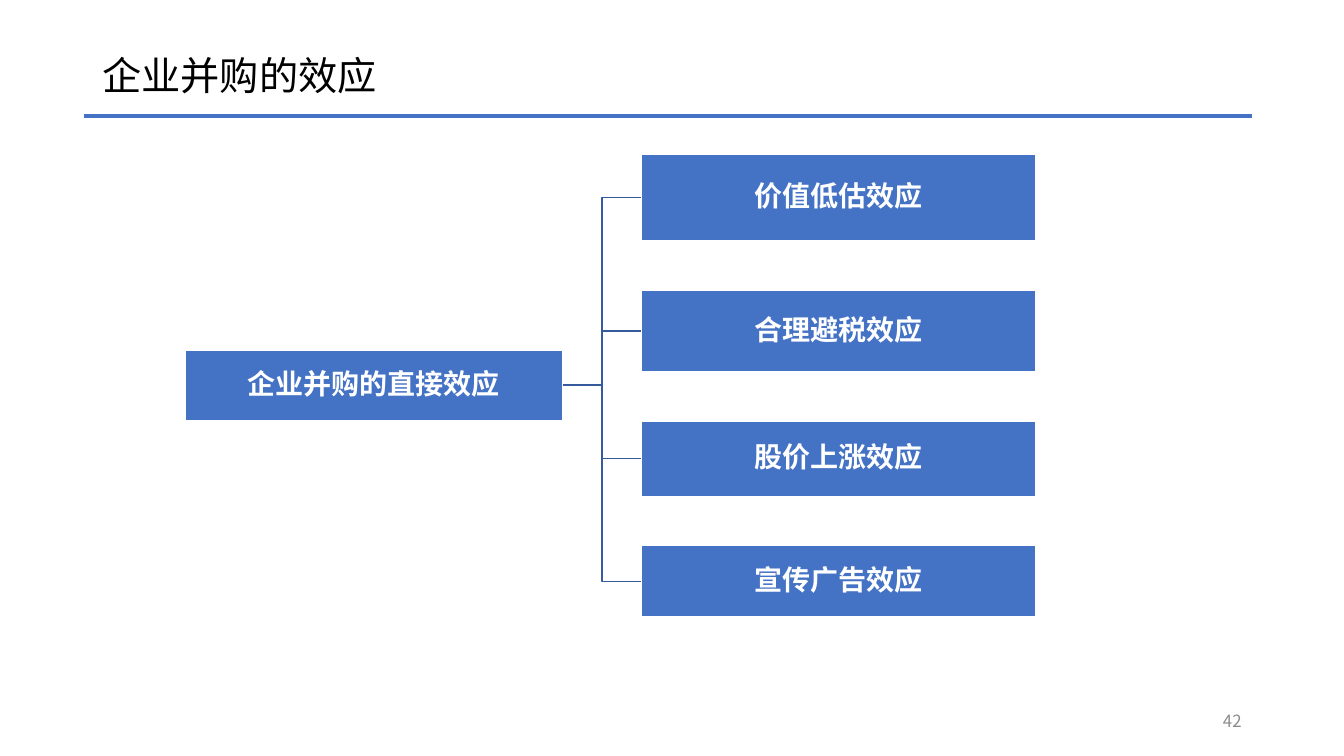
"""Slide showing the direct effects of mergers as a left-to-right tree."""
from dataclasses import dataclass

from lxml import etree
from pptx import Presentation
from pptx.dml.color import RGBColor
from pptx.enum.shapes import MSO_CONNECTOR, MSO_SHAPE
from pptx.enum.text import MSO_ANCHOR, MSO_AUTO_SIZE, PP_ALIGN
from pptx.oxml.ns import qn
from pptx.util import Inches, Pt

LEFT, CENTER, RIGHT = PP_ALIGN.LEFT, PP_ALIGN.CENTER, PP_ALIGN.RIGHT
MIDDLE = MSO_ANCHOR.MIDDLE
NO_AUTOFIT = MSO_AUTO_SIZE.NONE
RECTANGLE = MSO_SHAPE.RECTANGLE
STRAIGHT = MSO_CONNECTOR.STRAIGHT

SLIDE_WIDTH, SLIDE_HEIGHT = Inches(13.33), Inches(7.5)
COLUMNS, ROWS = 160, 90
FONT = "Noto Sans CJK SC"
BLUE, BRANCH_BLUE = "4472C4", "365B9D"
WHITE, BLACK, GRAY = "FFFFFF", "000000", "8C8C8C"

EFFECT_COLUMN, EFFECT_WIDTH = 76.35, 47
FIRST_EFFECT_ROW, EFFECT_GAP = 18.4, 5.85
EFFECTS = (
    ("价值低估效应", 10.3),
    ("合理避税效应", 9.7),
    ("股价上涨效应", 9),
    ("宣传广告效应", 8.5),
)


@dataclass(frozen=True)
class Area:
    """A rectangle measured in grid columns and rows."""

    column: float
    row: float
    width: float
    height: float

    @property
    def right(self) -> float:
        return self.column + self.width

    @property
    def middle(self) -> float:
        return self.row + self.height / 2

    def emu(self) -> tuple:
        return (across(self.column), down(self.row),
                across(self.width), down(self.height))


@dataclass(frozen=True)
class Node:
    """A labelled box of the tree."""

    label: str
    area: Area


def across(columns: float) -> int:
    """Convert grid columns to a length."""
    return round(SLIDE_WIDTH * columns / COLUMNS)


def down(rows: float) -> int:
    """Convert grid rows to a length."""
    return round(SLIDE_HEIGHT * rows / ROWS)


def color(hex_code: str) -> RGBColor:
    """Turn a hex string into a colour."""
    return RGBColor.from_string(hex_code)


def write(shape, text: str, size: int, hex_code: str, align,
          bold: bool = False, spacing: float = 1.0) -> None:
    """Fill a shape with one formatted paragraph."""
    frame = shape.text_frame
    frame.text = text
    frame.word_wrap = True
    frame.auto_size = NO_AUTOFIT
    frame.vertical_anchor = MIDDLE
    paragraph = frame.paragraphs[0]
    paragraph.alignment = align
    paragraph.line_spacing = spacing
    font = paragraph.runs[0].font
    font.size, font.bold, font.name = Pt(size), bold, FONT
    font.color.rgb = color(hex_code)
    latin = font._element.find(qn("a:latin"))
    east_asian = etree.Element(qn("a:ea"), typeface=FONT)
    latin.addnext(east_asian)


def draw_rule(slide, start: float, end: float, row: float) -> None:
    """Draw the line below the title."""
    rule = slide.shapes.add_connector(
        STRAIGHT, across(start), down(row), across(end), down(row))
    rule.line.color.rgb = color(BLUE)
    rule.line.width = Pt(3)
    etree.SubElement(rule._element.spPr, qn("a:effectLst"))


def draw_branch(slide, parent: Node, child: Node) -> None:
    """Draw the elbow from a parent to a child."""
    start, end = parent.area, child.area
    bend = across((start.right + end.column) / 2)
    builder = slide.shapes.build_freeform(across(start.right), down(start.middle))
    builder.add_line_segments(
        [(bend, down(start.middle)), (bend, down(end.middle)),
         (across(end.column), down(end.middle))], close=False)
    branch = builder.convert_to_shape()
    branch.shadow.inherit = False
    branch.fill.background()
    branch.line.color.rgb = color(BRANCH_BLUE)
    branch.line.width = Pt(1)


def draw_node(slide, node: Node) -> None:
    """Draw a box with its label."""
    box = slide.shapes.add_shape(RECTANGLE, *node.area.emu())
    box.shadow.inherit = False
    box.fill.solid()
    box.fill.fore_color.rgb = color(BLUE)
    box.line.color.rgb = color(WHITE)
    box.line.width = Pt(1)
    frame = box.text_frame
    frame.margin_left = frame.margin_right = Inches(0.01)
    frame.margin_top = frame.margin_bottom = Inches(0.01)
    write(box, node.label, 20, WHITE, CENTER, bold=True, spacing=0.9)


def effect_nodes() -> list[Node]:
    """Stack the effects with equal gaps."""
    nodes, row = [], FIRST_EFFECT_ROW
    for label, height in EFFECTS:
        nodes.append(Node(label, Area(EFFECT_COLUMN, row, EFFECT_WIDTH, height)))
        row += height + EFFECT_GAP
    return nodes


def main() -> None:
    """Build and save the slide."""
    presentation = Presentation()
    presentation.slide_width = SLIDE_WIDTH
    presentation.slide_height = SLIDE_HEIGHT
    slide = presentation.slides.add_slide(presentation.slide_layouts[5])

    title = slide.shapes.title
    title.left, title.top, title.width, title.height = Area(11, 4.8, 138, 8.9).emu()
    write(title, "企业并购的效应", 28, BLACK, LEFT, spacing=0.9)
    draw_rule(slide, 10, 149, 13.8)

    page_number = slide.shapes.add_textbox(*Area(113, 83.4, 36, 4.8).emu())
    write(page_number, "42", 12, GRAY, RIGHT)

    root = Node("企业并购的直接效应", Area(22, 41.65, 45, 8.4))
    effects = effect_nodes()
    for effect in effects:
        draw_branch(slide, root, effect)
    for node in (root, *effects):
        draw_node(slide, node)

    presentation.save("out.pptx")


if __name__ == "__main__":
    main()
